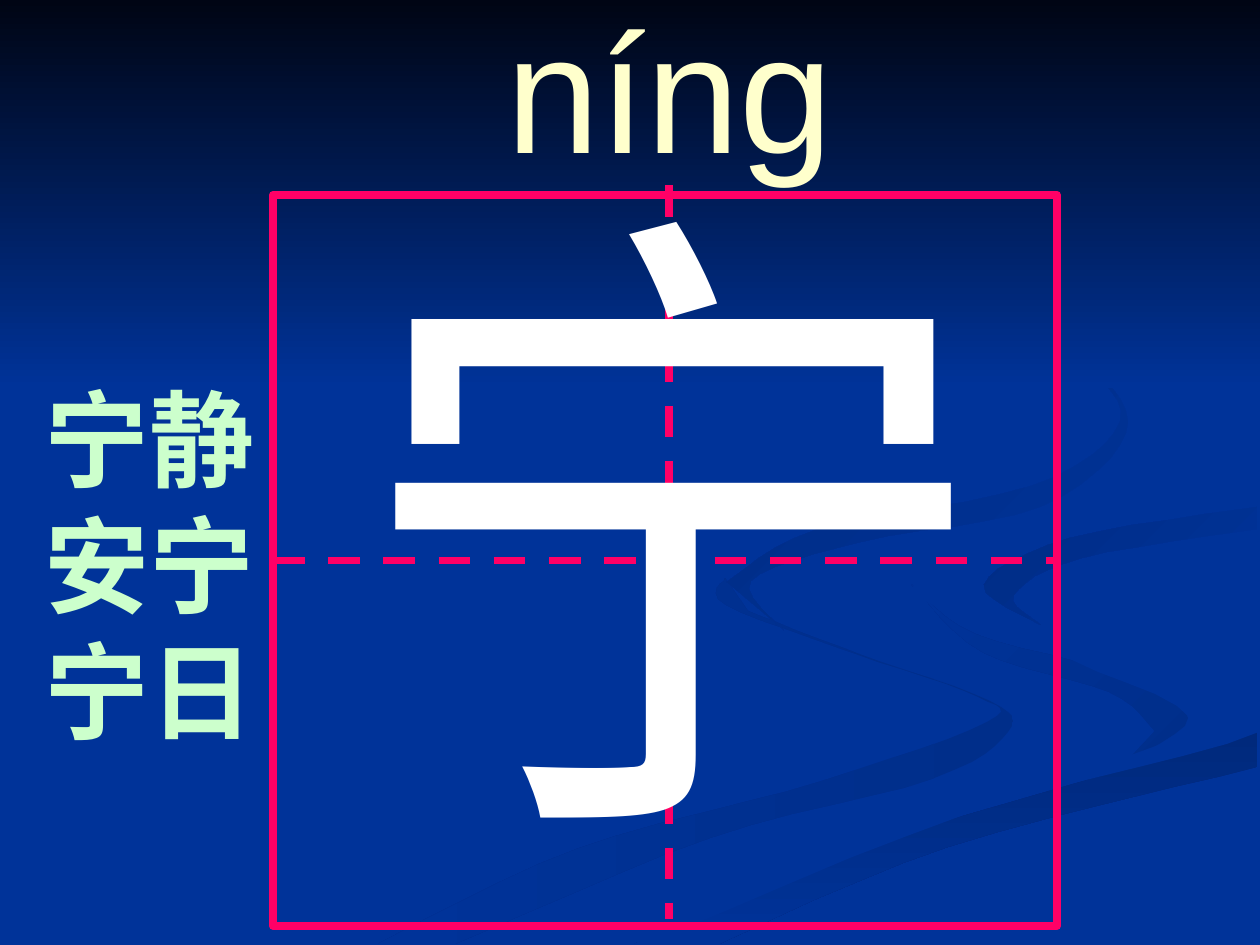
"""Build a slide that teaches the character 宁 in a writing grid."""
from dataclasses import dataclass

from lxml import etree
from pptx import Presentation
from pptx.dml.color import RGBColor
from pptx.enum.dml import MSO_LINE
from pptx.enum.shapes import MSO_CONNECTOR, MSO_SHAPE
from pptx.enum.text import MSO_AUTO_SIZE
from pptx.oxml.ns import qn
from pptx.util import Pt

DASH = MSO_LINE.DASH
STRAIGHT = MSO_CONNECTOR.STRAIGHT
RECT = MSO_SHAPE.RECTANGLE
GROW = MSO_AUTO_SIZE.SHAPE_TO_FIT_TEXT
SCALE = 914400 / 126
WIDE, HIGH = 1260, 945
STROKE = Pt(4.5)
LEFT, RIGHT = 1, 3
STEPS = 6

COLORS = {
    "blue": "003399",
    "night": "000514",
    "dusk": "002E8A",
    "deep": "00297C",
    "shade": "002C85",
    "dark": "002B81",
    "pink": "FF0066",
    "white": "FFFFFF",
    "mint": "CCFFCC",
    "cream": "FFFFCC",
}

Point = tuple[int, int]


@dataclass
class Wave:
    start: str
    end: str
    angle: int
    there: list[Point]
    back: list[Point]


@dataclass
class Label:
    text: str
    box: tuple[int, int, int, int]
    size: int
    font: str
    color: str
    bold: bool = False
    wrap: bool = True


WAVES = [
    Wave("dusk", "blue", 180,
         [(378, 944), (577, 849), (822, 781), (987, 722), (978, 697), (856, 654), (726, 605),
          (725, 578)],
         [(748, 611), (859, 654), (990, 701), (1008, 732), (932, 779), (710, 838), (455, 944)]),
    Wave("dusk", "blue", 225,
         [(912, 585), (975, 634), (1119, 674), (1188, 718), (1126, 762)],
         [(1155, 731), (1109, 692), (984, 653), (912, 585)]),
    Wave("deep", "blue", 90,
         [(634, 944), (794, 873), (963, 816), (1257, 732)],
         [(1257, 767), (948, 847), (719, 944)]),
    Wave("blue", "blue", 0,
         [(601, 944), (936, 810), (1187, 730), (1072, 660), (913, 590), (1018, 525),
          (1259, 488)],
         [(1259, 507), (1071, 538), (984, 583), (1068, 634), (1259, 678), (1259, 732),
          (964, 815), (654, 941)]),
    Wave("blue", "shade", 225,
         [(1041, 625), (984, 585), (1070, 538), (1257, 507)],
         [(1257, 529), (1082, 558), (1014, 595), (1041, 625)]),
    Wave("blue", "dark", 225,
         [(960, 294), (1089, 367), (1126, 433), (1040, 507), (861, 542), (751, 581),
          (784, 630)],
         [(727, 582), (818, 529), (1031, 486), (1120, 422), (1077, 359), (960, 294)]),
    Wave("night", "blue", 90, [(0, 0), (WIDE, 0)], [(WIDE, 388), (0, 388)]),
]

LABELS = [
    Label("宁", (336, 116, 648, 790), 370, "Times New Roman", "white"),
    Label("宁静安宁宁日", (32, 368, 258, 391), 60, "Arial", "mint", bold=True),
    Label("níng", (494, -21, 352, 214), 96, "Arial", "cream", wrap=False),
]


def px(num: int) -> int:
    """Turn pixels into EMU."""
    return round(num * SCALE)


def rgb(name: str) -> RGBColor:
    """Look up a named colour."""
    return RGBColor.from_string(COLORS[name])


def blend(a: int, b: int, c: int, d: int, t: float) -> int:
    """Find a point between b and c on a Catmull-Rom curve."""
    bend = (2 * a - 5 * b + 4 * c - d) * t + (3 * b - a - 3 * c + d) * t * t
    return round(b + (c - a + bend) * t / 2)


def smooth(edge: list[Point]) -> list[Point]:
    """Fill in a curve through the points of an edge."""
    ends = [edge[0], *edge, edge[-1]]
    curve = [
        tuple(blend(*axis, step / STEPS) for axis in zip(*ends[i:i + 4]))
        for i in range(len(edge) - 1)
        for step in range(STEPS)
    ]
    return [*curve, edge[-1]]


def draw_wave(slide, wave: Wave) -> None:
    """Draw one closed background outline."""
    first, *rest = smooth(wave.there) + smooth(wave.back)
    pen = slide.shapes.build_freeform(*first, scale=SCALE)
    pen.add_line_segments(rest, close=True)
    shape = pen.convert_to_shape()
    shape.shadow.inherit = False
    shape.line.fill.background()
    if wave.start == wave.end:
        shape.fill.solid()
        shape.fill.fore_color.rgb = rgb(wave.start)
        return
    shape.fill.gradient()
    shape.fill.gradient_angle = 360 - wave.angle
    for stop, name in zip(shape.fill.gradient_stops, (wave.start, wave.end)):
        stop.color.rgb = rgb(name)


def draw_frame(slide, box: tuple[int, int, int, int]):
    """Draw the open square of the grid."""
    frame = slide.shapes.add_shape(RECT, *map(px, box))
    frame.shadow.inherit = False
    frame.fill.background()
    frame.line.color.rgb = rgb("pink")
    frame.line.width = STROKE
    return frame


def draw_guide(slide, ends: tuple[int, int, int, int]):
    """Draw one dashed guide line."""
    guide = slide.shapes.add_connector(STRAIGHT, *map(px, ends))
    guide.line.color.rgb = rgb("pink")
    guide.line.width = STROKE
    guide.line.dash_style = DASH
    etree.SubElement(guide._element.spPr, qn("a:effectLst"))
    return guide


def draw_label(slide, label: Label) -> None:
    """Draw one text box."""
    frame = slide.shapes.add_textbox(*map(px, label.box)).text_frame
    frame.text = label.text
    frame.word_wrap = label.wrap
    frame.auto_size = GROW
    font = frame.paragraphs[0].runs[0].font
    font.name, font.size, font.bold = label.font, Pt(label.size), label.bold
    font.color.rgb = rgb(label.color)


def main() -> None:
    """Build and save the slide."""
    deck = Presentation()
    deck.slide_width, deck.slide_height = px(WIDE), px(HIGH)
    slide = deck.slides.add_slide(deck.slide_layouts[6])
    slide.background.fill.solid()
    slide.background.fill.fore_color.rgb = rgb("blue")
    for wave in WAVES:
        draw_wave(slide, wave)
    frame = draw_frame(slide, (273, 195, 784, 731))
    across = draw_guide(slide, (273, 561, 1057, 561))
    across.begin_connect(frame, LEFT)
    across.end_connect(frame, RIGHT)
    draw_guide(slide, (669, 185, 669, 919))
    for label in LABELS:
        draw_label(slide, label)
    deck.save("out.pptx")


if __name__ == "__main__":
    main()
